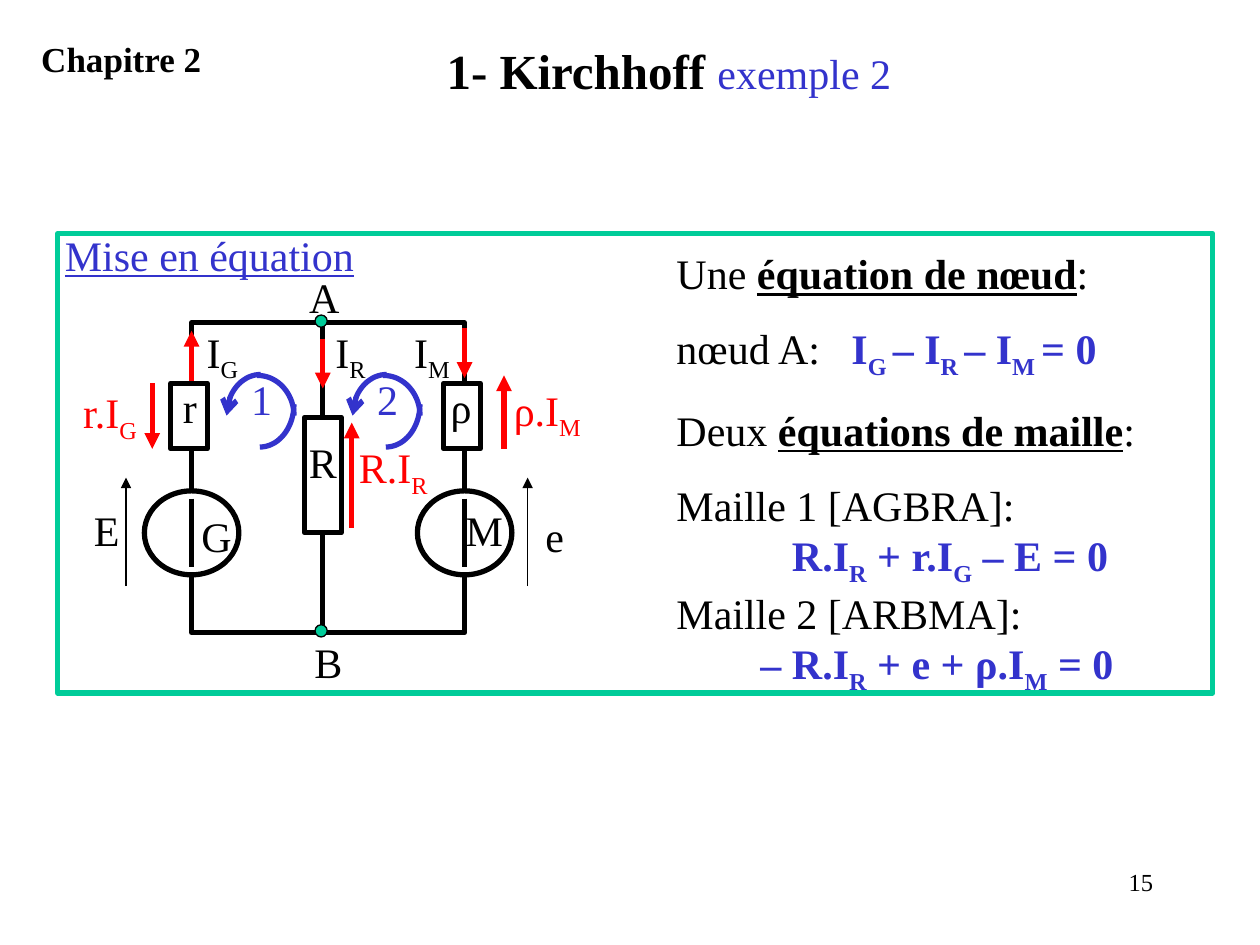
import math
import lxml.etree
import pptx
import pptx.dml.color
import pptx.enum.shapes
import pptx.enum.text
import pptx.oxml.ns
import pptx.util

Pt = pptx.util.Pt
RGB = pptx.dml.color.RGBColor.from_string
qn = pptx.oxml.ns.qn
kinds = pptx.enum.shapes.MSO_SHAPE
aligns = pptx.enum.text.PP_ALIGN
inks = {"black": "000000", "white": "FFFFFF", "red": "FF0000", "blue": "3333CC", "green": "00CC99"}

deck = pptx.Presentation()
deck.slide_width, deck.slide_height = Pt(720), Pt(540)
slide = deck.slides.add_slide(deck.slide_layouts[6])
shapes = slide.shapes


def add_text(box, rows, size=24, align=aligns.LEFT):
    frame = shapes.add_textbox(*map(Pt, box)).text_frame
    frame.word_wrap = True
    for i, runs in enumerate(rows):
        par = frame.paragraphs[0] if i == 0 else frame.add_paragraph()
        par.alignment = align
        par.font.name = "Times New Roman"
        par.font.size = Pt(size)
        for words, ink, marks in runs:
            run = par.add_run()
            run.text = words
            run.font.color.rgb = RGB(inks[ink])
            if "b" in marks:
                run.font.bold = True
            if "u" in marks:
                run.font.underline = True
            if "s" in marks:
                run._r.get_or_add_rPr().set("baseline", "-25000")
    return frame


def add_line(x, top, end, ink, width, arrow):
    line = shapes.add_connector(pptx.enum.shapes.MSO_CONNECTOR.STRAIGHT, Pt(x), Pt(top), Pt(x), Pt(end))
    line.line.color.rgb = RGB(inks[ink])
    line.line.width = Pt(width)
    if arrow:
        lxml.etree.SubElement(line.line._get_or_add_ln(), qn("a:tailEnd"), type="triangle")
    lxml.etree.SubElement(line._element.spPr, qn("a:effectLst"))


add_text((516, 492, 150, 36), [[("15", "black", "")]], 14, aligns.RIGHT)

parts = [
    (kinds.RECTANGLE, 33, 133.5, 660, 262.5, None, "green", 3),
    (kinds.RECTANGLE, 109.5, 184.5, 156, 177, None, "black", 3),
    (kinds.RECTANGLE, 97.5, 219, 21, 37.5, "white", "black", 3),
    (kinds.RECTANGLE, 253.5, 219, 21, 37.5, "white", "black", 3),
    (kinds.OVAL, 82.5, 280.5, 54, 48, "white", "black", 3),
    (kinds.OVAL, 238.5, 280.5, 54, 48, "white", "black", 3),
    (kinds.RECTANGLE, 174, 238.5, 21, 66, "white", "black", 3),
    (kinds.OVAL, 180, 180, 7, 7, "green", "black", 0.75),
    (kinds.OVAL, 180, 357, 7, 7, "green", "black", 0.75),
]
for i, (kind, left, top, wide, high, fill, ink, width) in enumerate(parts):
    if i == 6:
        add_line(184.5, 184.5, 360, "black", 3, False)
    part = shapes.add_shape(kind, Pt(left), Pt(top), Pt(wide), Pt(high))
    part.shadow.inherit = False
    if fill:
        part.fill.solid()
        part.fill.fore_color.rgb = RGB(inks[fill])
    else:
        part.fill.background()
    part.line.color.rgb = RGB(inks[ink])
    part.line.width = Pt(width)

for x, top, end, ink, width, arrow in [
    (109.5, 285, 324, "black", 3, False),
    (265.5, 285, 324, "black", 3, False),
    (72, 335, 273, "black", 0.75, True),
    (301.5, 335, 273, "black", 0.75, True),
    (109.5, 217.5, 189, "red", 3, True),
    (265.5, 187.5, 216, "red", 3, True),
    (184.5, 193.5, 222, "red", 3, True),
    (288, 256.5, 214.5, "red", 3, True),
    (87, 219, 256.5, "red", 3, True),
    (201, 301.5, 241.5, "red", 3, True),
]:
    add_line(x, top, end, ink, width, arrow)

for shift in (72, 0):
    for x, y, wide, high, start in [
        (148.5, 231, 19.5, 24.5, 0),
        (149, 237.5, 19.5, 23.5, 180),
        (147, 237.5, 21, 23, 270),
    ]:
        turns = [math.radians(start + 5 * i) for i in range(19)]
        dots = [(Pt(x + shift + wide * math.cos(t)), Pt(y + high * math.sin(t))) for t in turns]
        pen = shapes.build_freeform(*dots[0])
        pen.add_line_segments(dots[1:], close=False)
        arc = pen.convert_to_shape()
        arc.shadow.inherit = False
        arc.fill.background()
        arc.line.color.rgb = RGB(inks["blue"])
        arc.line.width = Pt(3)
        if start == 180:
            lxml.etree.SubElement(arc.line._get_or_add_ln(), qn("a:headEnd"), type="arrow")

for words, sub, left, top, wide, ink in [
    ("ρ.I", "M", 286.5, 216, 70.5, "red"),
    ("r.I", "G", 40.5, 217.5, 66, "red"),
    ("R.I", "R", 198, 249, 58.5, "red"),
    ("I", "G", 111, 183, 37.5, "black"),
    ("I", "R", 184.5, 183, 37.5, "black"),
    ("I", "M", 229.5, 183, 37.5, "black"),
    ("E", "", 46.5, 285, 31.5, "black"),
    ("e", "", 304.5, 288, 31.5, "black"),
    ("r", "", 97.5, 214.5, 19.5, "black"),
    ("R", "", 169.5, 246, 33, "black"),
    ("ρ", "", 250.5, 214.5, 36, "black"),
    ("A", "", 169.5, 151.5, 37.5, "black"),
    ("B", "", 172.5, 360, 43.5, "black"),
    ("G", "", 108, 288, 46.5, "black"),
    ("M", "", 259, 285, 36, "black"),
    ("1", "", 136.5, 210, 25.5, "blue"),
    ("2", "", 208.5, 210, 25.5, "blue"),
]:
    runs = [(words, ink, "")]
    if sub:
        runs.append((sub, ink, "s"))
    add_text((left, top, wide, 36), [runs])

add_text((30, 127.5, 193.5, 36), [[("Mise en équation", "blue", "u")]])
frame = add_text((379.5, 138, 304.5, 251), [
    [("Une ", "black", ""), ("équation de nœud", "black", "bu"), (":", "black", "")],
    [("nœud A:\t", "black", ""), ("I", "blue", "b"), ("G ", "blue", "bs"), ("– I", "blue", "b"),
     ("R ", "blue", "bs"), ("– I", "blue", "b"), ("M ", "blue", "bs"), ("= 0", "blue", "b")],
    [("Deux ", "black", ""), ("équations de maille", "black", "bu"), (":", "black", "")],
    [("Maille 1 [AGBRA]:", "black", "")],
    [("R.I", "blue", "b"), ("R", "blue", "bs"), (" + r.I", "blue", "b"),
     ("G", "blue", "bs"), (" – E = 0", "blue", "b")],
    [("Maille 2 [ARBMA]:", "black", "")],
    [("– R.I", "blue", "b"), ("R", "blue", "bs"), (" + e + ρ.I", "blue", "b"),
     ("M", "blue", "bs"), (" = 0", "blue", "b")],
])
pars = frame.paragraphs
for par in pars[1:4]:
    par.space_before = Pt(14)
for i, left in ((4, 66), (6, 48)):
    pars[i]._p.get_or_add_pPr().set("marL", str(Pt(left)))
props = pars[1]._p.get_or_add_pPr()
tabs = lxml.etree.Element(qn("a:tabLst"))
lxml.etree.SubElement(tabs, qn("a:tab"), pos=str(Pt(100)), algn="l")
props.insert(len(props) - 1, tabs)

frame = add_text((64, 19.5, 636.5, 41), [[("1- Kirchhoff ", "black", "b"), ("exemple 2", "blue", "")]], 28, aligns.CENTER)
frame.paragraphs[0].runs[1].font.size = Pt(24)
add_text((16.5, 18, 204.5, 31), [[("Chapitre 2", "black", "b")]], 20)

deck.save("out.pptx")
